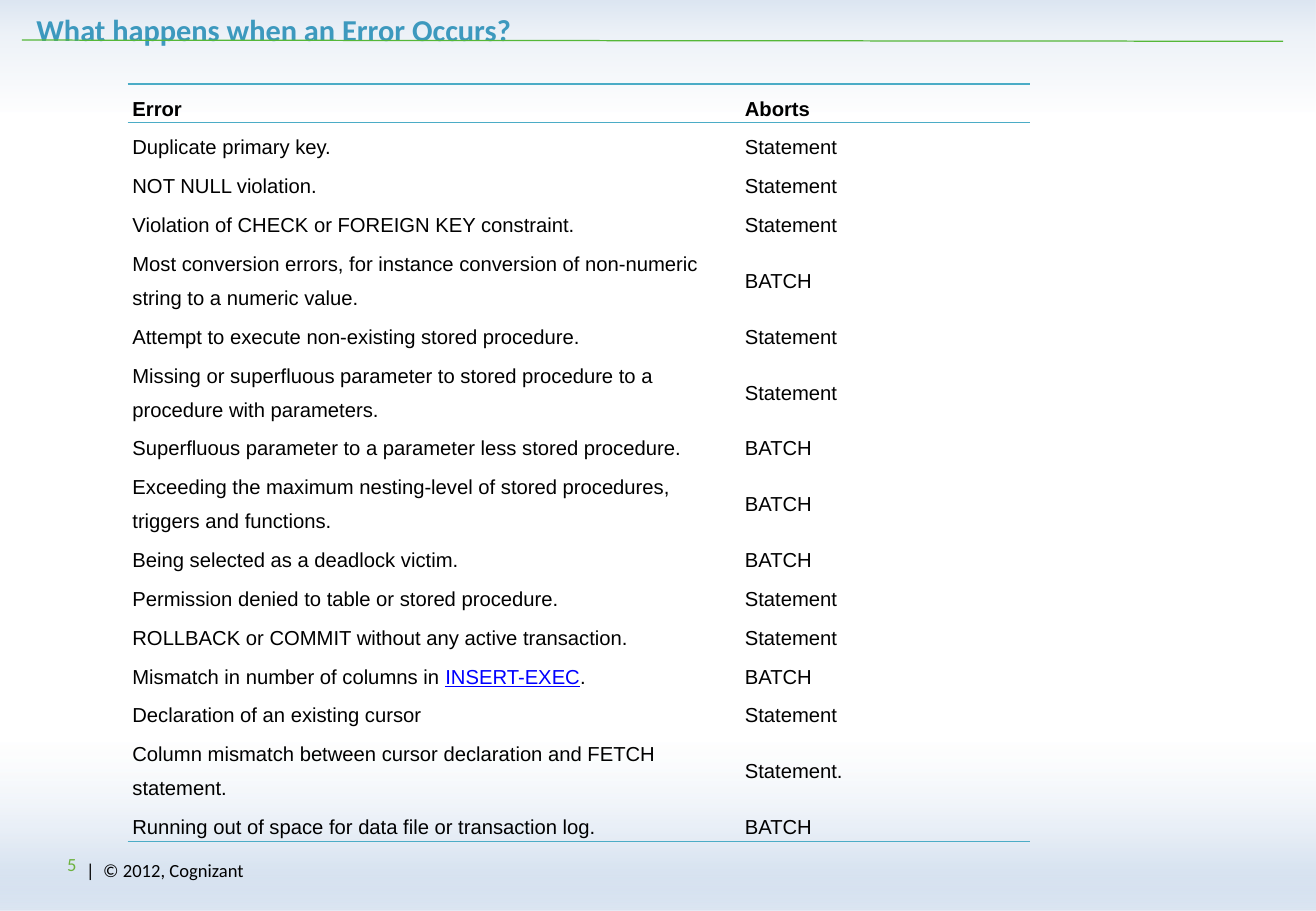
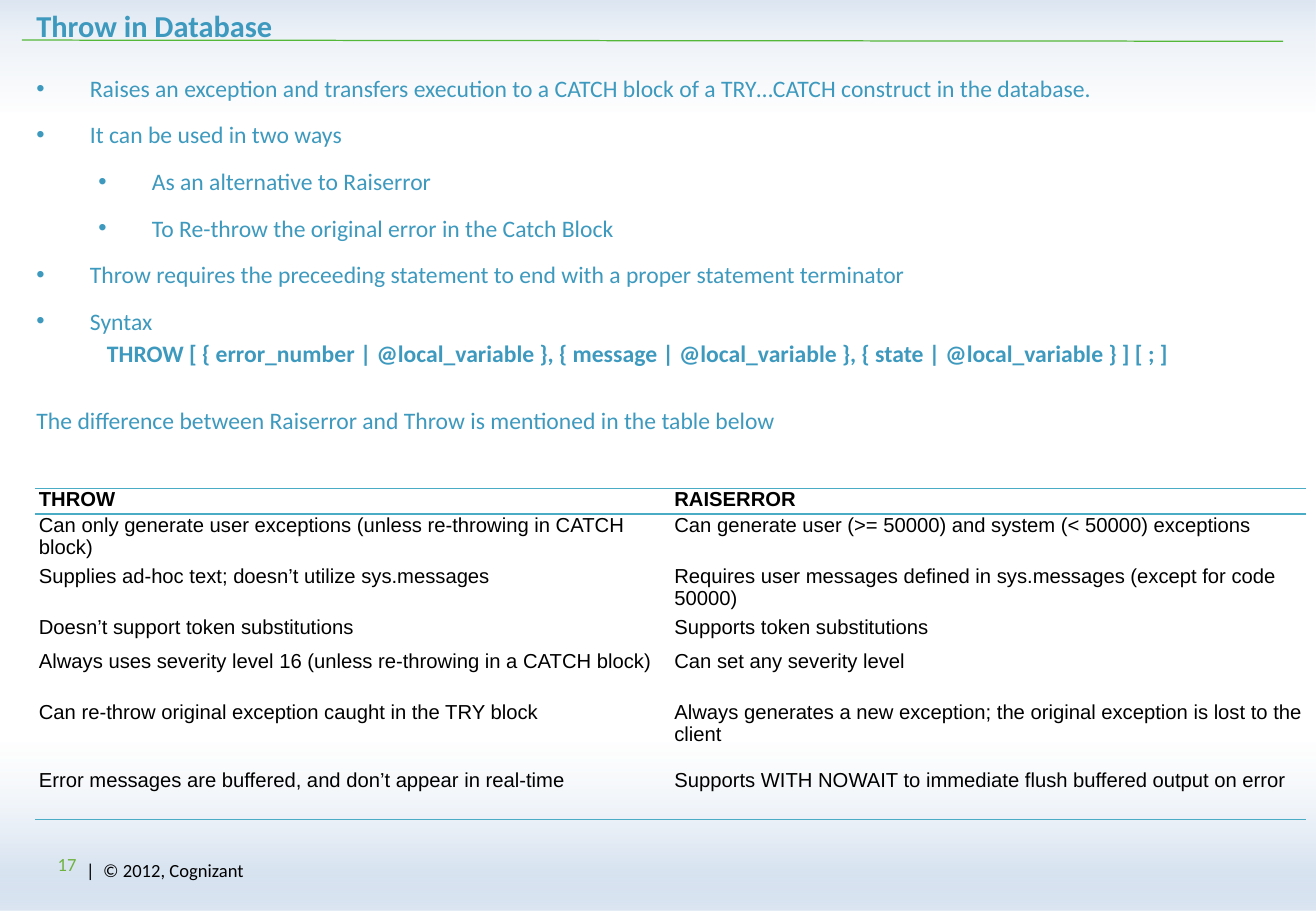
from dataclasses import dataclass

from lxml import etree
from pptx import Presentation
from pptx import util as u
from pptx.dml.color import RGBColor
from pptx.enum import shapes, text
from pptx.oxml.ns import qn


@dataclass(frozen=True)
class Theme:
    width: float = 10.83
    height: float = 7.5
    title: str = "3D99BE"
    ink: str = "000000"
    link: str = "0000FF"
    number: str = "6DB23F"
    rule: str = "55B738"
    border: str = "4BACC6"
    band: tuple = ("B9CDE5", "DCE6F2", "FFFFFF")
    head_font: str = "Calibri"
    table_font: str = "Arial"
    title_size: float = 18
    body_size: float = 14
    table_size: float = 12
    footer_size: float = 11
    plain_table: str = "{2D5ABB26-0587-4C30-8999-92F81FD0307C}"


T = Theme()
TITLE = dict(name=T.head_font, size=T.title_size, color=T.title, bold=True)
BODY = dict(name=T.head_font, size=T.body_size, color=T.title, bold=False)
FOOTER = dict(name=T.head_font, size=T.footer_size, color=T.ink)
NUMBER = dict(FOOTER, color=T.number)
CELL = dict(name=T.table_font, size=T.table_size, color=T.ink, bold=False)
LINK = dict(CELL, color=T.link, underline=True)

ERRORS = [
    ("Error", "Aborts"),
    ("Duplicate primary key.", "Statement"),
    ("NOT NULL violation.", "Statement"),
    ("Violation of CHECK or FOREIGN KEY constraint.", "Statement"),
    ("Most conversion errors, for instance conversion of non-numeric string to a numeric value.", "BATCH"),
    ("Attempt to execute non-existing stored procedure.", "Statement"),
    ("Missing or superfluous parameter to stored procedure to a procedure with parameters.", "Statement"),
    ("Superfluous parameter to a parameter less stored procedure.", "BATCH"),
    ("Exceeding the maximum nesting-level of stored procedures, triggers and functions.", "BATCH"),
    ("Being selected as a deadlock victim.", "BATCH"),
    ("Permission denied to table or stored procedure.", "Statement"),
    ("ROLLBACK or COMMIT without any active transaction.", "Statement"),
    ([("Mismatch in number of columns in ", CELL), ("INSERT-EXEC", LINK), (".", CELL)], "BATCH"),
    ("Declaration of an existing cursor", "Statement"),
    ("Column mismatch between cursor declaration and FETCH statement.", "Statement."),
    ("Running out of space for data file or transaction log.", "BATCH"),
]
TWO_LINE_ERRORS = (4, 6, 8, 14)

COMPARISON = [
    ("THROW", "RAISERROR"),
    ("Can only generate user exceptions (unless re-throwing in CATCH block)",
     "Can generate user (>= 50000) and system (< 50000) exceptions"),
    ("Supplies ad-hoc text; doesn’t utilize sys.messages",
     "Requires user messages defined in sys.messages (except for code 50000)"),
    ("Doesn’t support token substitutions", "Supports token substitutions"),
    ("Always uses severity level 16 (unless re-throwing in a CATCH block)", "Can set any severity level"),
    ("Can re-throw original exception caught in the TRY block",
     "Always generates a new exception; the original exception is lost to the client"),
    ("Error messages are buffered, and don’t appear in real-time",
     "Supports WITH NOWAIT to immediate flush buffered output on error"),
]

# Paragraph kinds: left margin, hanging indent, line spacing, space before, bold
KINDS = {
    "point": (0.44, -0.44, 1.5, 2.4, False),
    "sub": (0.95, -0.44, 1.5, 2.4, False),
    "code": (0.58, 0, 1, 2.4, True),
    "note": (0, 0, 1, 22.6, False),
}
THROW_POINTS = [
    ("point", "Raises an exception and transfers execution to a CATCH block of a TRY…CATCH construct "
              "in the database."),
    ("point", "It can be used in two ways"),
    ("sub", "As an alternative to Raiserror"),
    ("sub", "To Re-throw the original error in the Catch Block"),
    ("point", "Throw requires the preceeding statement to end with a proper statement terminator"),
    ("point", "Syntax"),
    ("code", "THROW [ { error_number | @local_variable }, { message | @local_variable }, "
             "{ state | @local_variable } ] [ ; ]"),
    ("note", "The difference between Raiserror and Throw is mentioned in the table below"),
]


def box_of(*lengths):
    return [u.Inches(n) for n in lengths]


def sub(parent, tag, **attrs):
    return etree.SubElement(parent, qn(tag), {k: str(v) for k, v in attrs.items()})


def add_run(p, content, fmt):
    r = p.add_run()
    r.text = content
    for key, value in fmt.items():
        if key == "color":
            r.font.color.rgb = RGBColor.from_string(value)
        else:
            setattr(r.font, key, u.Pt(value) if key == "size" else value)


def set_frame(tf, margins, anchor):
    left, top, right, bottom = box_of(*margins)
    settings = dict(margin_left=left, margin_top=top, margin_right=right, margin_bottom=bottom,
                    word_wrap=True, auto_size=text.MSO_AUTO_SIZE.NONE, vertical_anchor=anchor)
    for key, value in settings.items():
        setattr(tf, key, value)


def place(sp, box):
    for key, value in zip(("left", "top", "width", "height"), box_of(*box)):
        setattr(sp, key, value)


# Shared parts
def add_band(slide, depth, box, angle, alphas):
    sp = slide.shapes.add_shape(shapes.MSO_SHAPE.RECTANGLE, *box_of(*box))
    sp.shadow.inherit = False
    sp.line.fill.background()
    sp.fill.gradient()
    grad = sp.element.spPr.find(qn("a:gradFill"))
    for child in list(grad):
        grad.remove(child)
    stops = sub(grad, "a:gsLst")
    for pos, color, alpha in zip((0, 25, 84), T.band, alphas):
        clr = sub(sub(stops, "a:gs", pos=pos * 1000), "a:srgbClr", val=color)
        sub(clr, "a:alpha", val=alpha * 1000)
    sub(grad, "a:lin", ang=angle * 60000, scaled=0)
    slide.shapes.element.insert(2 + depth, sp.element)  # behind the placeholders


def add_label(slide, box, content, fmt, align, spacing):
    tf = slide.shapes.add_textbox(*box_of(*box)).text_frame
    set_frame(tf, (0, 0, 0, 0), text.MSO_ANCHOR.MIDDLE)
    p = tf.paragraphs[0]
    p.alignment, p.line_spacing = align, spacing
    add_run(p, content, fmt)


def add_base(prs, layout, title, title_top, number):
    slide = prs.slides.add_slide(prs.slide_layouts[layout])
    add_band(slide, 0, (0, 0, T.width, 1.11), 90, (50, 50, 50))
    add_band(slide, 1, (0, 5.83, T.width, 1.67), 270, (50, 100, 50))

    rule = slide.shapes.add_connector(shapes.MSO_CONNECTOR.STRAIGHT, *box_of(0.18, 0.33, 10.56, 0.34))
    rule.line.color.rgb = RGBColor.from_string(T.rule)
    rule.line.width = u.Pt(0.75)
    sub(rule.element.spPr, "a:effectLst")

    place(slide.shapes.title, (0.18, title_top, 10.38, 0.44))
    tf = slide.shapes.title.text_frame
    set_frame(tf, (0.12, 0.06, 0.12, 0.06), text.MSO_ANCHOR.TOP)
    tf.paragraphs[0].alignment = text.PP_ALIGN.LEFT
    add_run(tf.paragraphs[0], title, TITLE)

    add_label(slide, (0.71, 6.75, 5.93, 0.66), "|  © 2012, Cognizant", FOOTER, text.PP_ALIGN.LEFT, 1.9)
    add_label(slide, (0.09, 6.78, 0.54, 0.67), str(number), NUMBER, text.PP_ALIGN.RIGHT, 1)
    return slide


# Tables: rules above and below the header and under the last row
def add_border(cell, tag):
    ln = etree.Element(qn(tag), w=str(u.Pt(1)))
    sub(sub(ln, "a:solidFill"), "a:srgbClr", val=T.border)
    cell._tc.get_or_add_tcPr().insert(0, ln)


def add_grid(slide, origin, cols, heights, rows, margins, anchor, spacing):
    box = (*origin, sum(cols), sum(heights))
    frame = slide.shapes.add_table(len(rows), len(cols), *box_of(*box))
    table = frame.table
    table.first_row = table.horz_banding = False
    next(frame.element.iter(qn("a:tableStyleId"))).text = T.plain_table
    for col, width in zip(table.columns, cols):
        col.width = u.Inches(width)
    for i, (row, height, values) in enumerate(zip(table.rows, heights, rows)):
        row.height = u.Inches(height)
        for cell, value in zip(row.cells, values):
            left, top, right, bottom = box_of(*margins)
            cell.margin_left, cell.margin_top = left, top
            cell.margin_right, cell.margin_bottom = right, bottom
            cell.vertical_anchor = anchor
            cell.fill.background()
            p = cell.text_frame.paragraphs[0]
            p.line_spacing = spacing
            runs = [(value, dict(CELL, bold=i == 0))] if isinstance(value, str) else value
            for content, fmt in runs:
                add_run(p, content, fmt)
            if i in (0, len(rows) - 1):
                add_border(cell, "a:lnB")
            if i == 0:
                add_border(cell, "a:lnT")


# Bulleted body
def add_points(slide, box, points):
    body = slide.placeholders[1]
    place(body, box)
    tf = body.text_frame
    set_frame(tf, (0.12, 0.06, 0.12, 0.06), text.MSO_ANCHOR.TOP)
    for i, (kind, content) in enumerate(points):
        margin, indent, spacing, before, bold = KINDS[kind]
        p = tf.add_paragraph() if i else tf.paragraphs[0]
        p.level = int(kind == "sub")
        pPr = p._p.get_or_add_pPr()
        pPr.set("marL", str(u.Inches(margin)))
        pPr.set("indent", str(u.Inches(indent)))
        if indent:
            sub(pPr, "a:buFont", typeface="Arial")
            sub(pPr, "a:buChar", char="•")
        else:
            sub(pPr, "a:buNone")
        p.alignment = text.PP_ALIGN.LEFT
        p.line_spacing = spacing
        p.space_before = u.Pt(before if i else 0)
        add_run(p, content, dict(BODY, bold=bold))


def errors_slide(prs):
    slide = add_base(prs, 5, "What happens when an Error Occurs?", 0.03, 5)
    heights = [0.6 if i in TWO_LINE_ERRORS else 0.32 for i in range(len(ERRORS))]
    add_grid(slide, (1.05, 0.69), (5.04, 2.39), heights, ERRORS,
             (0.04, 0.02, 0.04, 0.02), text.MSO_ANCHOR.MIDDLE, 1.5)


def throw_slide(prs):
    slide = add_base(prs, 1, "Throw in Database", 0, 17)
    add_points(slide, (0.18, 0.43, 10.29, 3.4), THROW_POINTS)
    add_grid(slide, (0.29, 4.02), (5.23, 5.23), (0.21, 0.42, 0.42, 0.28, 0.42, 0.56, 0.42),
             COMPARISON, (0.03, 0, 0, 0), text.MSO_ANCHOR.TOP, 1)


def main():
    prs = Presentation()
    prs.slide_width, prs.slide_height = box_of(T.width, T.height)
    errors_slide(prs)
    throw_slide(prs)
    prs.save("out.pptx")


if __name__ == "__main__":
    main()
